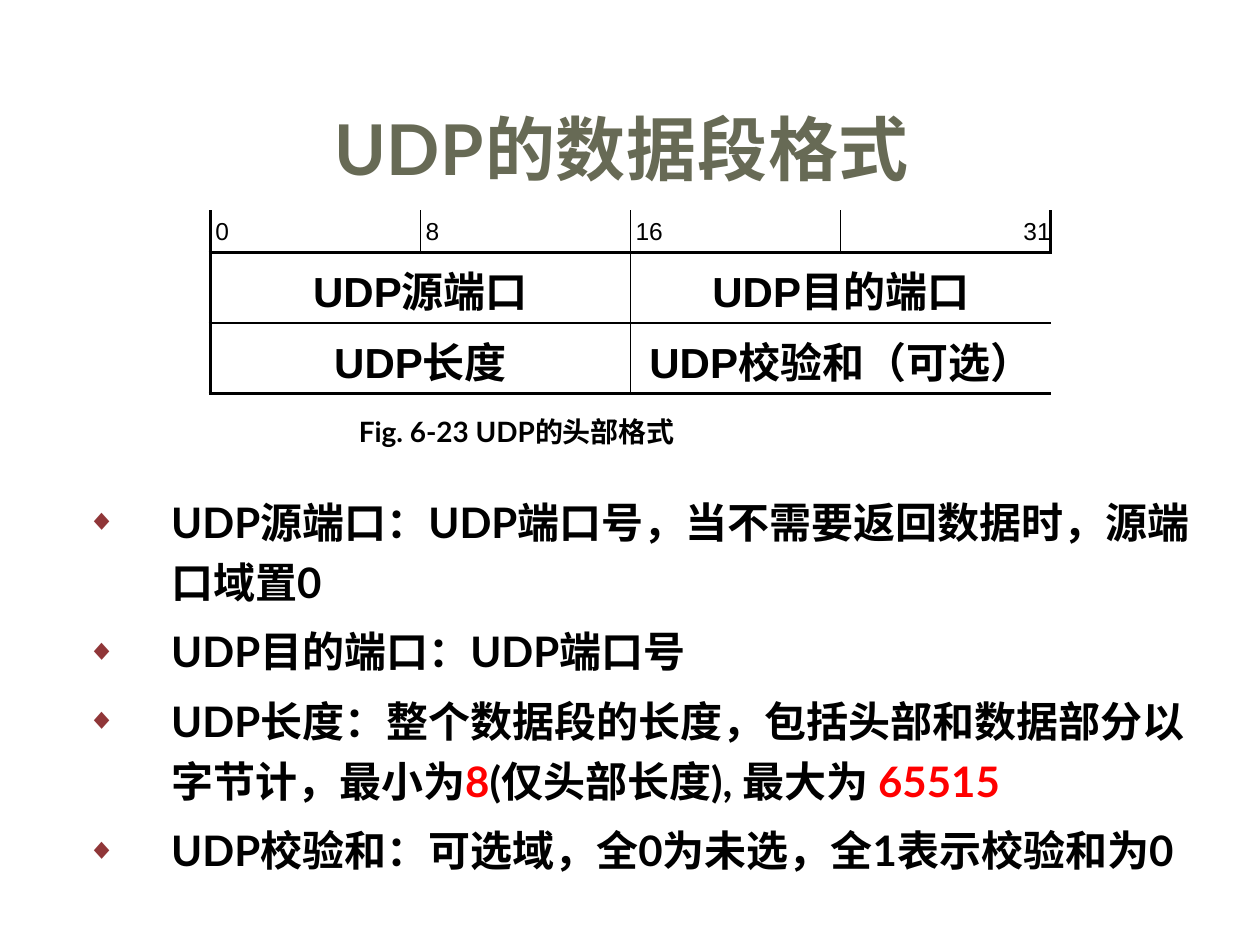
import pptx
import pptx.dml.color
import pptx.enum.text
import pptx.oxml
import pptx.oxml.ns
import pptx.util
from dataclasses import dataclass
from lxml import etree

Inches = pptx.util.Inches
Pt = pptx.util.Pt
qn = pptx.oxml.ns.qn
ALIGN = pptx.enum.text.PP_ALIGN
ANCHOR = pptx.enum.text.MSO_ANCHOR


@dataclass
class Theme:
    title: str = "676A55"
    ink: str = "000000"
    accent: str = "FF0000"
    bullet: str = "903638"
    heading_font: str = "Lato"
    table_font: str = "Arial"
    title_size: int = 40
    body_size: int = 24
    caption_size: int = 16
    scale_size: int = 14
    thick: float = 2.25
    thin: float = 1


theme = Theme()


def write_text(para, text, *, size, font=theme.heading_font, color=theme.ink,
               bold=True, align=ALIGN.LEFT):
    para.alignment = align
    span = para.add_run()
    span.text = text
    span.font.name = font
    span.font.size = Pt(size)
    span.font.bold = bold
    span.font.color.rgb = pptx.dml.color.RGBColor.from_string(color)
    return span


def set_borders(cell, **weights):
    properties = cell._tc.get_or_add_tcPr()
    for side in ("L", "R", "T", "B"):
        weight = weights[side]
        line = etree.SubElement(properties, qn(f"a:ln{side}"), w=str(Pt(weight)))
        if weight:
            fill = etree.SubElement(line, qn("a:solidFill"))
            etree.SubElement(fill, qn("a:srgbClr"), val=theme.ink)
        else:
            etree.SubElement(line, qn("a:noFill"))


deck = pptx.Presentation()
deck.slide_width, deck.slide_height = Inches(10), Inches(7.5)
page = deck.slides.add_slide(deck.slide_layouts[5])

# Title
title = page.shapes.title
title.left, title.top = Inches(0.75), Inches(0.67)
title.width, title.height = Inches(8.5), Inches(1)
title.text_frame.vertical_anchor = ANCHOR.MIDDLE
span = write_text(title.text_frame.paragraphs[0], "UDP的数据段格式 ",
                  size=theme.title_size, color=theme.title, align=ALIGN.CENTER)
span.font._element.set("spc", "50")

# Field descriptions: each paragraph is a list of (text, colour)
descriptions = [
    [("UDP源端口：UDP端口号，当不需要返回数据时，源端口域置0", theme.ink)],
    [("UDP目的端口：UDP端口号", theme.ink)],
    [("UDP长度：整个数据段的长度，包括头部和数据部分以字节计，最小为", theme.ink),
     ("8", theme.accent), ("(仅头部长度), 最大为 ", theme.ink),
     ("65515", theme.accent)],
    [("UDP校验和：可选域，全0为未选，全1表示校验和为0", theme.ink)],
]
box = page.shapes.add_textbox(Inches(0.59), Inches(3.81), Inches(8.98), Inches(3.25))
box.text_frame.word_wrap = True
for index, parts in enumerate(descriptions):
    para = box.text_frame.paragraphs[0] if index == 0 else box.text_frame.add_paragraph()
    para.line_spacing = 1.2
    para.space_before = Pt(5 if index else 0)
    properties = para._p.get_or_add_pPr()
    properties.set("marL", str(Inches(0.67)))
    properties.set("indent", str(-Inches(0.67)))
    bullet_color = etree.SubElement(properties, qn("a:buClr"))
    etree.SubElement(bullet_color, qn("a:srgbClr"), val=theme.bullet)
    etree.SubElement(properties, qn("a:buSzPct"), val="70000")
    etree.SubElement(properties, qn("a:buFont"), typeface=theme.table_font)
    etree.SubElement(properties, qn("a:buChar"), char="◆")
    for text, color in parts:
        write_text(para, text, size=theme.body_size, color=color)

# Header format table: a bit scale above two rows of merged fields
rows = [
    ["0", "8", "16", "31"],
    ["UDP源端口", "", "UDP目的端口", ""],
    ["UDP长度", "", "UDP校验和（可选）", ""],
]
row_heights = [0.31, 0.56, 0.56]
row_lines = [0, theme.thick, theme.thin, theme.thick]
scale_lines = [theme.thick, theme.thin, theme.thin, theme.thin, theme.thick]
field_lines = [theme.thick, 0, theme.thin, 0, theme.thick]

table = page.shapes.add_table(3, 4, Inches(1.67), Inches(1.67),
                              Inches(6.67), Inches(1.44)).table
table.first_row = table.horz_banding = False
for column in table.columns:
    column.width = Inches(6.67 / 4)
for r, texts in enumerate(rows):
    table.rows[r].height = Inches(row_heights[r])
    column_lines = field_lines if r else scale_lines
    for c, text in enumerate(texts):
        cell = table.cell(r, c)
        set_borders(cell, L=column_lines[c], R=column_lines[c + 1],
                    T=row_lines[r], B=row_lines[r + 1])
        cell.fill.background()
        para = cell.text_frame.paragraphs[0]
        if r == 0:
            cell.vertical_anchor = ANCHOR.BOTTOM
            cell.margin_left, cell.margin_right = Inches(0.04), Inches(0)
            write_text(para, text, size=theme.scale_size, font=theme.table_font,
                       bold=False, align=ALIGN.RIGHT if c == 3 else ALIGN.LEFT)
        elif text:
            cell.merge(table.cell(r, c + 1))
            write_text(para, text, size=theme.body_size, font=theme.table_font,
                       align=ALIGN.CENTER)

# Caption
caption = page.shapes.add_textbox(Inches(2.75), Inches(3.24), Inches(4.58), Inches(0.34))
caption.text_frame.word_wrap = True
write_text(caption.text_frame.paragraphs[0], "Fig. 6-23 UDP的头部格式",
           size=theme.caption_size)

deck.save("out.pptx")
